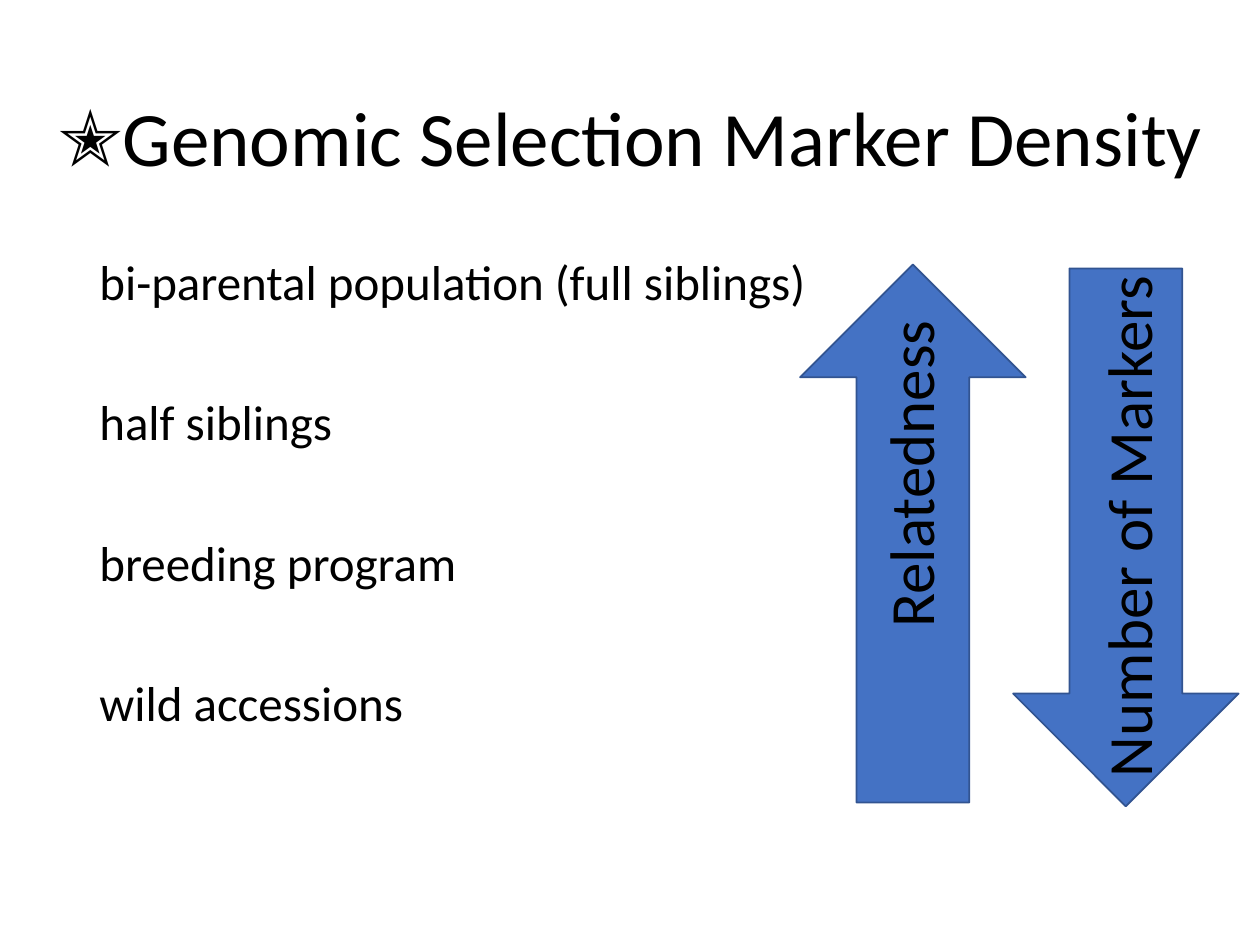
from dataclasses import dataclass

from pptx import Presentation
from pptx.dml.color import RGBColor
from pptx.enum.shapes import MSO_SHAPE
from pptx.enum.text import MSO_ANCHOR, MSO_AUTO_SIZE, PP_ALIGN
from pptx.util import Pt

UP_ARROW, DOWN_ARROW = MSO_SHAPE.UP_ARROW, MSO_SHAPE.DOWN_ARROW
MIDDLE, TOP = MSO_ANCHOR.MIDDLE, MSO_ANCHOR.TOP
LEFT = PP_ALIGN.LEFT
NO_AUTOFIT = MSO_AUTO_SIZE.NONE
TITLE_ONLY = 5


@dataclass(frozen=True)
class Theme:
    font: str = "Calibri"
    text: RGBColor = RGBColor(0, 0, 0)
    arrow_fill: RGBColor = RGBColor(0x44, 0x72, 0xC4)
    arrow_line: RGBColor = RGBColor(0x32, 0x54, 0x91)
    title_size: float = 44
    body_size: float = 28
    label_size: float = 36


THEME = Theme()
POPULATIONS = [
    "bi-parental population (full siblings)",
    "half siblings",
    "breeding program",
    "wild accessions",
]
ARROW_SIZE = (128.9, 307.4)
LABEL_HEIGHT = 51.1


def points(*lengths):
    return [Pt(length) for length in lengths]


def style_paragraph(paragraph, size, line_spacing=1.0, space_before=0):
    paragraph.alignment = LEFT
    paragraph.line_spacing = line_spacing
    paragraph.space_before = Pt(space_before)
    paragraph.font.name = THEME.font
    paragraph.font.size = Pt(size)
    paragraph.font.color.rgb = THEME.text


def prepare_frame(shape, anchor=TOP):
    frame = shape.text_frame
    frame.word_wrap = True
    frame.auto_size = NO_AUTOFIT
    frame.vertical_anchor = anchor
    return frame


def set_title(slide, text):
    title = slide.shapes.title
    title.left, title.top, title.width, title.height = points(26, 28.8, 672, 104.4)
    frame = prepare_frame(title, MIDDLE)
    frame.text = text
    style_paragraph(frame.paragraphs[0], THEME.title_size, 0.9)


def add_list(slide, items):
    box = slide.shapes.add_textbox(*points(49.7, 144, 620.6, 342.7))
    frame = prepare_frame(box)
    frame.text = "\n".join(items)
    for index, paragraph in enumerate(frame.paragraphs):
        style_paragraph(paragraph, THEME.body_size, 0.9, 50 if index else 10)


def add_arrow(slide, kind, left, top):
    arrow = slide.shapes.add_shape(kind, *points(left, top, *ARROW_SIZE))
    arrow.shadow.inherit = False
    arrow.fill.solid()
    arrow.fill.fore_color.rgb = THEME.arrow_fill
    arrow.line.color.rgb = THEME.arrow_line
    arrow.line.width = Pt(1)


def add_vertical_label(slide, text, center_x, center_y, length):
    left, top = center_x - length / 2, center_y - LABEL_HEIGHT / 2
    label = slide.shapes.add_textbox(*points(left, top, length, LABEL_HEIGHT))
    label.rotation = 270
    frame = prepare_frame(label)
    frame.text = text
    style_paragraph(frame.paragraphs[0], THEME.label_size)


def main():
    presentation = Presentation()
    presentation.slide_width, presentation.slide_height = points(720, 540)
    slide = presentation.slides.add_slide(presentation.slide_layouts[TITLE_ONLY])
    set_title(slide, "\u272dGenomic Selection Marker Density")
    add_list(slide, POPULATIONS)
    add_arrow(slide, UP_ARROW, 457.2, 151.2)
    add_vertical_label(slide, "Relatedness", 520.2, 259.6, 212.4)
    add_arrow(slide, DOWN_ARROW, 578.9, 153.4)
    add_vertical_label(slide, "Number of Markers", 644.4, 292, 318.2)
    presentation.save("out.pptx")


main()
